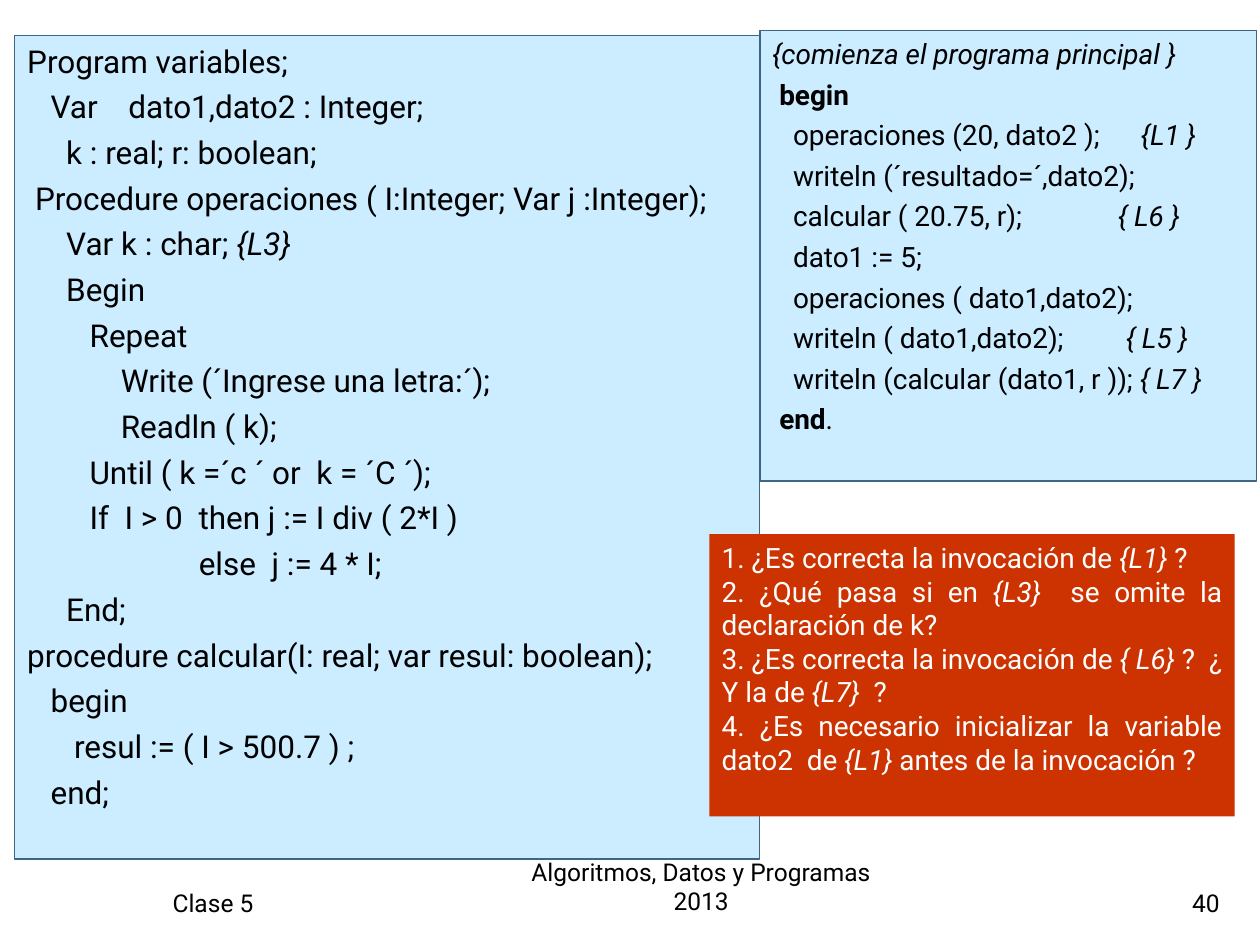
from lxml import etree
from pptx import Presentation
from pptx.dml.color import RGBColor as Rgb
from pptx.enum.shapes import MSO_SHAPE as Shape
from pptx.enum.text import MSO_ANCHOR as Anchor, PP_ALIGN as Align
from pptx.oxml.ns import qn
from pptx.util import Cm, Pt

DECLARATIONS = [
    "Program variables;",
    ("   Var\tdato1,dato2 : Integer;", 2.04),
    "     k : real; r: boolean;",
    " Procedure operaciones ( I:Integer; Var j :Integer);",
    "     Var k : char; |{L3}|",
    "     Begin",
    "        Repeat",
    "            Write (´Ingrese una letra:´);",
    "            Readln ( k);",
    "        Until ( k =´c ´ or  k = ´C ´);",
    "        If  I > 0  then j := I div ( 2*I )",
    "                      else  j := 4 * I;",
    "     End;",
    "procedure calcular(I: real; var resul: boolean);",
    "   begin",
    "      resul := ( I > 500.7 ) ;",
    "   end;",
]
MAIN_PROGRAM = [
    "|{comienza el programa principal }|",
    " |begin|",
    ("   operaciones (20, dato2 );\t|{L1 }|", 7.43),
    "   writeln (´resultado=´,dato2);",
    ("   calcular ( 20.75, r);\t|{ L6 }|", 6.97),
    "   dato1 := 5;",
    "   operaciones ( dato1,dato2);",
    ("   writeln ( dato1,dato2);\t|{ L5 }|", 7.13),
    "   writeln (calcular (dato1, r )); |{ L7 }|",
    " |end|.",
]
QUESTIONS = [
    "1. ¿Es correcta la invocación de |{L1}| ?",
    "2. ¿Qué pasa si en |{L3}|  se omite la declaración de k?",
    "3. ¿Es correcta la invocación de |{ L6}| ?  ¿ Y la de |{L7}|  ?",
    "4. ¿Es necesario inicializar la variable dato2  de |{L1}| antes de la invocación ?",
]
THEME = {
    "font": "Roboto",
    "ink": Rgb.from_string("000000"),
    "light": Rgb.from_string("FFFFFF"),
    "code": Rgb.from_string("CCECFF"),
    "edge": Rgb.from_string("3F6585"),
    "accent": Rgb.from_string("CC3300"),
    "sizes": {"declarations": 18, "main": 16, "questions": 16, "footer": 14},
}
PANELS = [
    ("declarations", DECLARATIONS, (0.3, 0.71, 15.01, 16.61), "code", "edge", "ink", 4.5),
    ("main", MAIN_PROGRAM, (15.32, 0.61, 10.01, 9.09), "code", "edge", "ink", 4),
    ("questions", QUESTIONS, (14.3, 10.77, 10.59, 5.69), "accent", None, "light", 0),
]
FOOTERS = [
    ("Clase 5", (3.23, 17.35, 5.28, 1.27), Align.LEFT),
    ("40", (19.56, 17.35, 5.28, 1.27), Align.RIGHT),
    ("Algoritmos, Datos y Programas 2013", (10.11, 17.32, 8.05, 1.27), Align.CENTER),
]


def set_all(target, values):
    for key, value in values.items():
        setattr(target, key, value)


def add_tab_stop(paragraph, position):
    properties = paragraph._p.get_or_add_pPr()
    stops = etree.SubElement(properties, qn("a:tabLst"))
    etree.SubElement(stops, qn("a:tab"), pos=str(Cm(position)), algn="l")


def write_lines(frame, lines, role, ink, align, anchor, gap=0):
    set_all(frame, {
        "word_wrap": True, "vertical_anchor": anchor,
        "margin_left": Cm(0.25), "margin_right": Cm(0.25),
        "margin_top": Cm(0.13), "margin_bottom": Cm(0.13),
    })
    for index, line in enumerate(lines):
        words, stop = line if isinstance(line, tuple) else (line, None)
        paragraph = frame.add_paragraph() if index else frame.paragraphs[0]
        if stop:
            add_tab_stop(paragraph, stop)
        set_all(paragraph, {"alignment": align, "space_before": Pt(gap if index else 0)})
        for order, part in enumerate(words.split("|")):
            if not part:
                continue
            run = paragraph.add_run()
            run.text = part
            marked, label = order % 2 == 1, part.startswith("{")
            set_all(run.font, {
                "name": THEME["font"], "size": Pt(THEME["sizes"][role]),
                "italic": marked and label, "bold": marked and not label,
            })
            run.font.color.rgb = THEME[ink]


def add_panel(slide, role, lines, place, fill, edge, ink, gap):
    panel = slide.shapes.add_shape(Shape.RECTANGLE, *map(Cm, place))
    panel.shadow.inherit = False
    panel.fill.solid()
    panel.fill.fore_color.rgb = THEME[fill]
    if edge:
        panel.line.color.rgb = THEME[edge]
        panel.line.width = Pt(0.75)
    else:
        panel.line.fill.background()
    write_lines(panel.text_frame, lines, role, ink, Align.JUSTIFY, Anchor.TOP, gap)


def main():
    """Build the slide on variable scope and procedure calls."""
    deck = Presentation()
    set_all(deck, {"slide_width": Cm(25.4), "slide_height": Cm(19.05)})
    slide = deck.slides.add_slide(deck.slide_layouts[6])
    for words, place, align in FOOTERS:
        footer = slide.shapes.add_textbox(*map(Cm, place))
        write_lines(footer.text_frame, [words], "footer", "ink", align, Anchor.BOTTOM)
    for panel in PANELS:
        add_panel(slide, *panel)
    deck.save("out.pptx")


if __name__ == "__main__":
    main()
